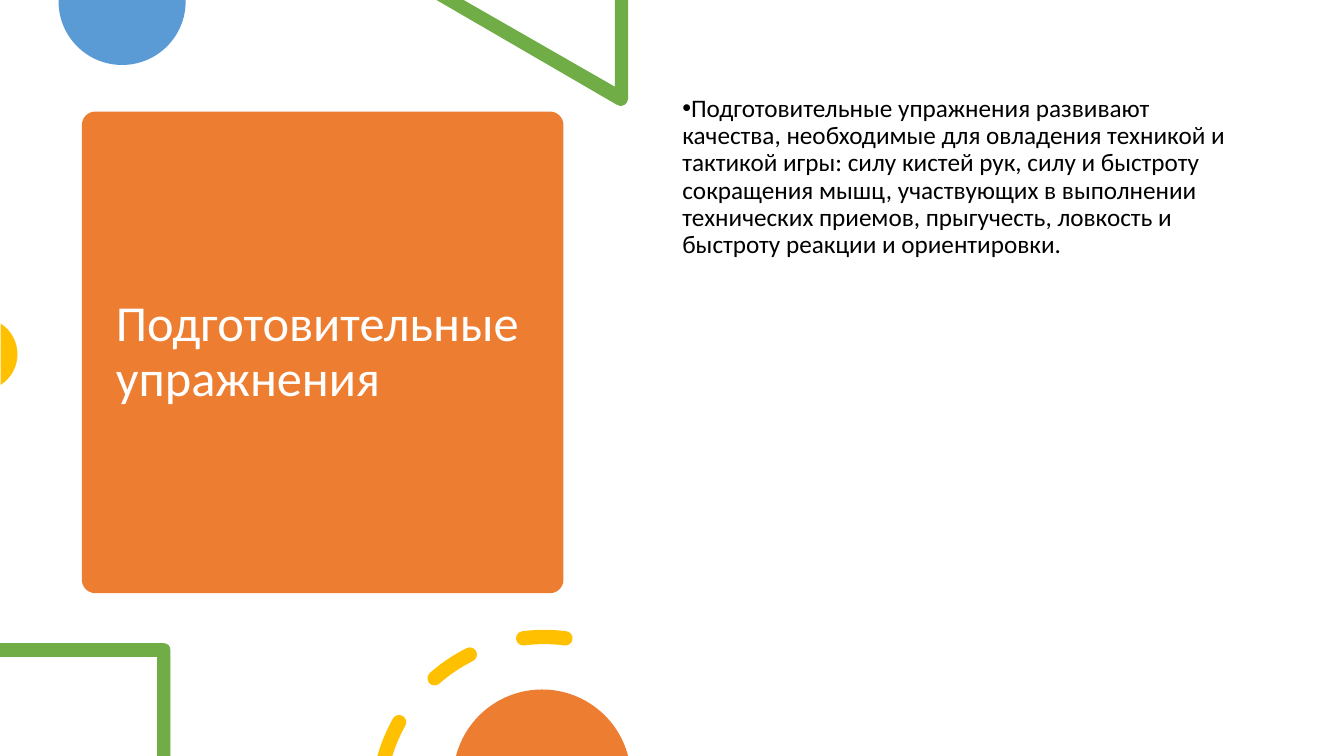
from math import ceil, cos, radians, sin, tan

from lxml.etree import SubElement
from pptx import Presentation
from pptx.dml.color import RGBColor
from pptx.enum.shapes import MSO_SHAPE as Shape
from pptx.enum.text import MSO_ANCHOR as Anchor, MSO_AUTO_SIZE as AutoSize, PP_ALIGN as Align
from pptx.oxml.ns import qn
from pptx.util import Pt

ORANGE, GREEN, BLUE, YELLOW = "ED7D31", "70AD47", "5B9BD5", "FFC000"
TITLE = "Подготовительные упражнения"
BODY = (
    "Подготовительные упражнения развивают качества, необходимые для овладения "
    "техникой и тактикой игры: силу кистей рук, силу и быстроту сокращения мышц, "
    "участвующих в выполнении технических приемов, прыгучесть, ловкость и "
    "быстроту реакции и ориентировки."
)
RING_CENTER, RING_RADIUS, DASH_HALF = (388.8, 573.8), 118.8, 5.1


def colour(value):
    return RGBColor.from_string(value)


def paint(shape, fill):
    shape.shadow.inherit = False
    shape.fill.solid()
    shape.fill.fore_color.rgb = colour(fill)
    shape.line.fill.background()


def lines(*points):
    return [(point,) for point in points]


def on_circle(center, radius, angle):
    """Point on a circle; degrees run clockwise from the right."""
    turn = radians(angle)
    return center[0] + radius * cos(turn), center[1] + radius * sin(turn)


def arc(center, radius, start, end):
    """Start point, then one Bezier curve (three points) per quarter turn or less."""
    count = ceil(abs(end - start) / 90)
    step = (end - start) / count
    reach = radius * 4 / 3 * tan(radians(step) / 4)
    segments = lines(on_circle(center, radius, start))
    for i in range(count):
        first, last = start + i * step, start + (i + 1) * step
        a, b = on_circle(center, radius, first), on_circle(center, radius, last)
        segments.append((on_circle(a, reach, first + 90), on_circle(b, reach, last - 90), b))
    return segments


def ring_dash(start, end, cut=0):
    """Round-ended piece of the ring; a cut replaces the start's round end by a flat one."""
    cap_start, cap_end = [on_circle(RING_CENTER, RING_RADIUS, angle) for angle in (start, end)]
    inner = arc(RING_CENTER, RING_RADIUS - DASH_HALF, end, start + cut)
    outline = (
        arc(RING_CENTER, RING_RADIUS + DASH_HALF, start, end)
        + arc(cap_end, DASH_HALF, end, end + 180)[1:]
        + inner[1:]
    )
    if not cut:
        outline += arc(cap_start, DASH_HALF, start + 180, start + 360)[1:]
    return outline


def curve_lines(shape, segments):
    """Joins the three straight steps of each curved segment into one curve."""
    steps = list(shape._element.iter(qn("a:lnTo")))
    for segment in segments:
        own, steps = steps[:len(segment)], steps[len(segment):]
        if len(segment) == 3:
            own[0].tag = qn("a:cubicBezTo")
            for step in own[1:]:
                own[0].append(step[0])
                step.getparent().remove(step)


def add_outline(page, fill, *contours):
    builder = None
    for contour in contours:
        points = [(Pt(x), Pt(y)) for segment in contour for x, y in segment]
        if builder:
            builder.move_to(*points[0])
        else:
            builder = page.shapes.build_freeform(*points[0])
        builder.add_line_segments(points[1:])
    shape = builder.convert_to_shape()
    curve_lines(shape, [segment for contour in contours for segment in contour[1:]])
    paint(shape, fill)


def add_card(page, left, top, side):
    card = page.shapes.add_shape(Shape.ROUNDED_RECTANGLE, Pt(left), Pt(top), Pt(side), Pt(side))
    card.adjustments[0] = 0.028
    paint(card, ORANGE)


def add_bullet(para):
    """Bullet that stands directly before the text."""
    props = para._p.get_or_add_pPr()
    props.set("marL", "0")
    props.set("indent", str(-Pt(18)))
    SubElement(props, qn("a:buChar")).set("char", "•")


def fill_placeholder(box, place, text, size, ink, anchor, bullet=False):
    box.left, box.top, box.width, box.height = [Pt(value) for value in place]
    frame = box.text_frame
    frame.text = text
    frame.word_wrap = True
    frame.auto_size = AutoSize.NONE
    frame.vertical_anchor = anchor
    para = frame.paragraphs[0]
    if bullet:
        add_bullet(para)
    para.alignment = Align.LEFT
    para.line_spacing = 0.9
    para.space_before, para.space_after = Pt(0), Pt(6)
    for span in para.runs:
        span.font.name, span.font.size = "Calibri", Pt(size)
        span.font.color.rgb = colour(ink)


def add_top_shapes(page):
    add_outline(page, BLUE, lines((132.6, 0), (41.8, 0))
                + arc((87.2, 1), 45.4, 180, 0))
    add_outline(page, GREEN, lines((448.6, 0), (439.2, 0), (439.2, 61.9), (331.2, 0), (311.8, 0))
                + arc((443.5, 70.6), 5.1, 120, 0))
    add_outline(page, YELLOW, arc((-13.5, 253), 26, -57.5, 57.5))


def add_bottom_shapes(page):
    add_outline(page, GREEN, lines((0, 459.4), (0, 469.2), (112.3, 469.2), (112.3, 540), (121.7, 540))
                + arc((117, 464.1), 4.7, 0, -90))
    add_outline(page, YELLOW, ring_dash(195.9, 209.2, cut=1.4),
                ring_dash(228.7, 243.4), ring_dash(262.7, 277.3))
    add_outline(page, ORANGE, arc((387.2, 556), 63.5, 194.6, 345.4))


def main():
    deck = Presentation()
    deck.slide_width, deck.slide_height = Pt(960), Pt(540)
    page = deck.slides.add_slide(deck.slide_layouts[1])
    title, body = page.placeholders
    tree = page.shapes._spTree
    add_card(page, 58.5, 79.7, 344)
    fill_placeholder(title, (75.6, 87.8, 310.3, 328.3), TITLE, 36, "FFFFFF", Anchor.MIDDLE)
    tree.append(title._element)
    add_top_shapes(page)
    fill_placeholder(body, (480.2, 64.8, 414, 385.2), BODY, 18, "000000", Anchor.TOP, bullet=True)
    tree.append(body._element)
    add_bottom_shapes(page)
    deck.save("out.pptx")


if __name__ == "__main__":
    main()
